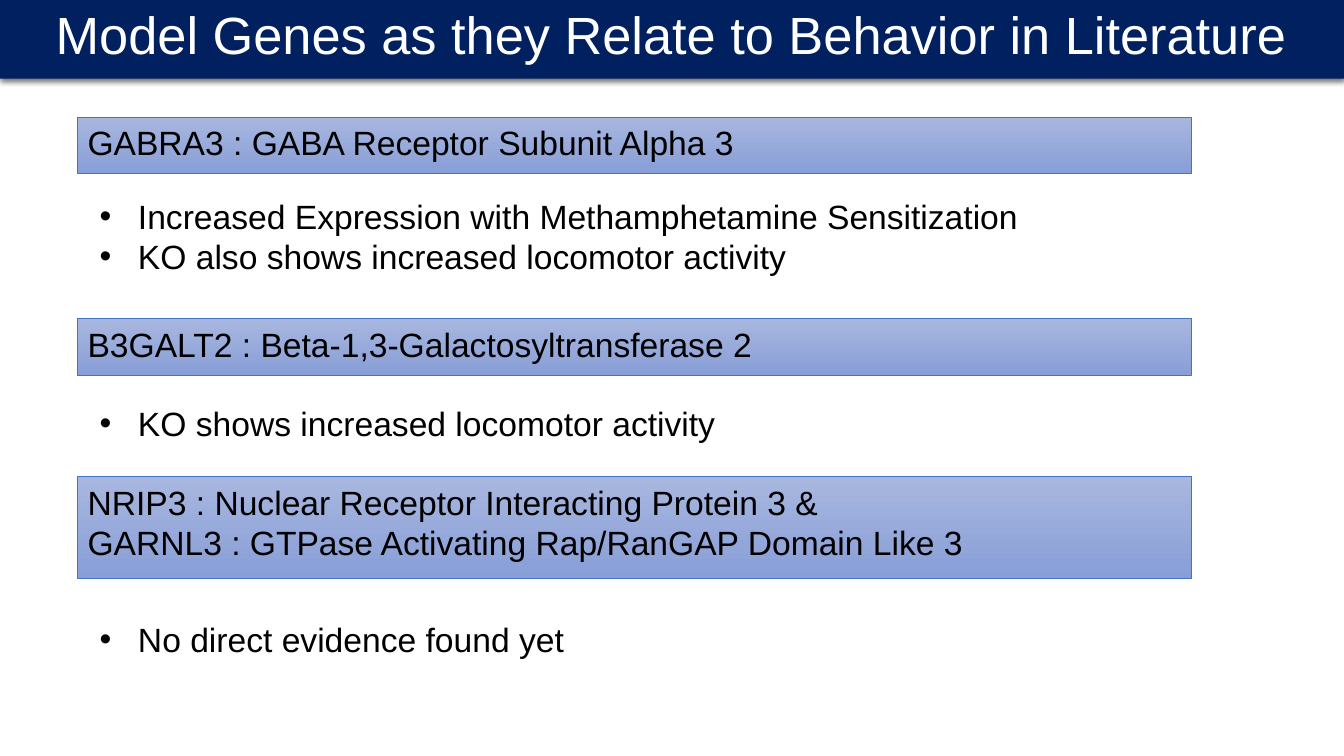
"""Build a slide on model genes and their links to behavior."""
from pptx import Presentation
from pptx.dml.color import RGBColor as RGB
from pptx.enum.shapes import MSO_SHAPE as Shape
from pptx.enum.text import MSO_ANCHOR as Anchor, MSO_AUTO_SIZE as Fit, PP_ALIGN as Align
from pptx.oxml import parse_xml
from pptx.util import Inches, Pt

HUES = {"navy": "002060", "top": "A8B7DF", "base": "889ED7",
        "edge": "4472C4", "ink": "000000", "white": "FFFFFF"}
HUES = {name: RGB.from_string(code) for name, code in HUES.items()}
NS = 'xmlns:a="http://schemas.openxmlformats.org/drawingml/2006/main"'
GENES = [
    (1.16, 0.56, ["GABRA3 : GABA Receptor Subunit Alpha 3"]),
    (3.16, 0.56, ["B3GALT2 : Beta-1,3-Galactosyltransferase 2"]),
    (4.73, 1.01, ["NRIP3 : Nuclear Receptor Interacting Protein 3 &",
                  "GARNL3 : GTPase Activating Rap/RanGAP Domain Like 3"]),
]
NOTES = [
    (1.89, 11.05, 1.35, ["Increased Expression with Methamphetamine Sensitization",
                         "KO also shows increased locomotor activity"]),
    (3.95, 8.01, 0.9, ["KO shows increased locomotor activity"]),
    (6.09, 8.01, 0.9, ["No direct evidence found yet"]),
]


def write(shape, lines, size, hue, align, anchor):
    """Fill a shape with styled lines and return its paragraphs."""
    frame = shape.text_frame
    frame.text = "\n".join(lines)
    look = {"word_wrap": True, "auto_size": Fit.NONE, "vertical_anchor": anchor}
    for key, value in look.items():
        setattr(frame, key, value)
    for para in frame.paragraphs:
        para.alignment = align
        for key, value in {"name": "Arial", "size": Pt(size)}.items():
            setattr(para.runs[0].font, key, value)
        para.runs[0].font.color.rgb = HUES[hue]
    return frame.paragraphs


deck = Presentation()
deck.slide_width, deck.slide_height = Inches(13.33), Inches(7.5)
slide = deck.slides.add_slide(deck.slide_layouts[5])

title = slide.shapes.title
spot = {"left": 0, "top": 0, "width": 13.33, "height": 0.78}
for key, value in spot.items():
    setattr(title, key, Inches(value))
title.fill.solid()
title.fill.fore_color.rgb = HUES["navy"]
title._element.spPr.append(parse_xml(
    f'<a:effectLst {NS}><a:outerShdw blurRad="{Pt(4.5)}" dist="{Pt(1.5)}" '
    'dir="5400000" algn="ctr" rotWithShape="0"><a:srgbClr val="000000">'
    '<a:alpha val="63000"/></a:srgbClr></a:outerShdw></a:effectLst>'))
head = write(title, ["Model Genes as they Relate to Behavior in Literature"],
             37.4, "white", Align.CENTER, Anchor.MIDDLE)
head[0].line_spacing = 0.8

for top, high, lines in GENES:
    bar = slide.shapes.add_shape(Shape.RECTANGLE, Inches(0.77), Inches(top),
                                 Inches(11.05), Inches(high))
    bar.shadow.inherit = False
    bar.fill.gradient()
    bar.fill.gradient_angle = 270
    for stop, hue in zip(bar.fill.gradient_stops, ("top", "base")):
        stop.color.rgb = HUES[hue]
    bar.line.color.rgb = HUES["edge"]
    bar.line.width = Pt(0.5)
    write(bar, lines, 24, "ink", Align.LEFT, Anchor.TOP)

for top, wide, high, lines in NOTES:
    box = slide.shapes.add_textbox(Inches(0.89), Inches(top), Inches(wide), Inches(high))
    for para in write(box, lines, 24, "ink", Align.LEFT, Anchor.TOP):
        props = para._p.get_or_add_pPr()
        props.set("marL", str(Inches(0.38)))
        props.set("indent", str(Inches(-0.38)))
        props.append(parse_xml(f'<a:buFont {NS} typeface="Arial"/>'))
        props.append(parse_xml(f'<a:buChar {NS} char="•"/>'))

deck.save("out.pptx")
